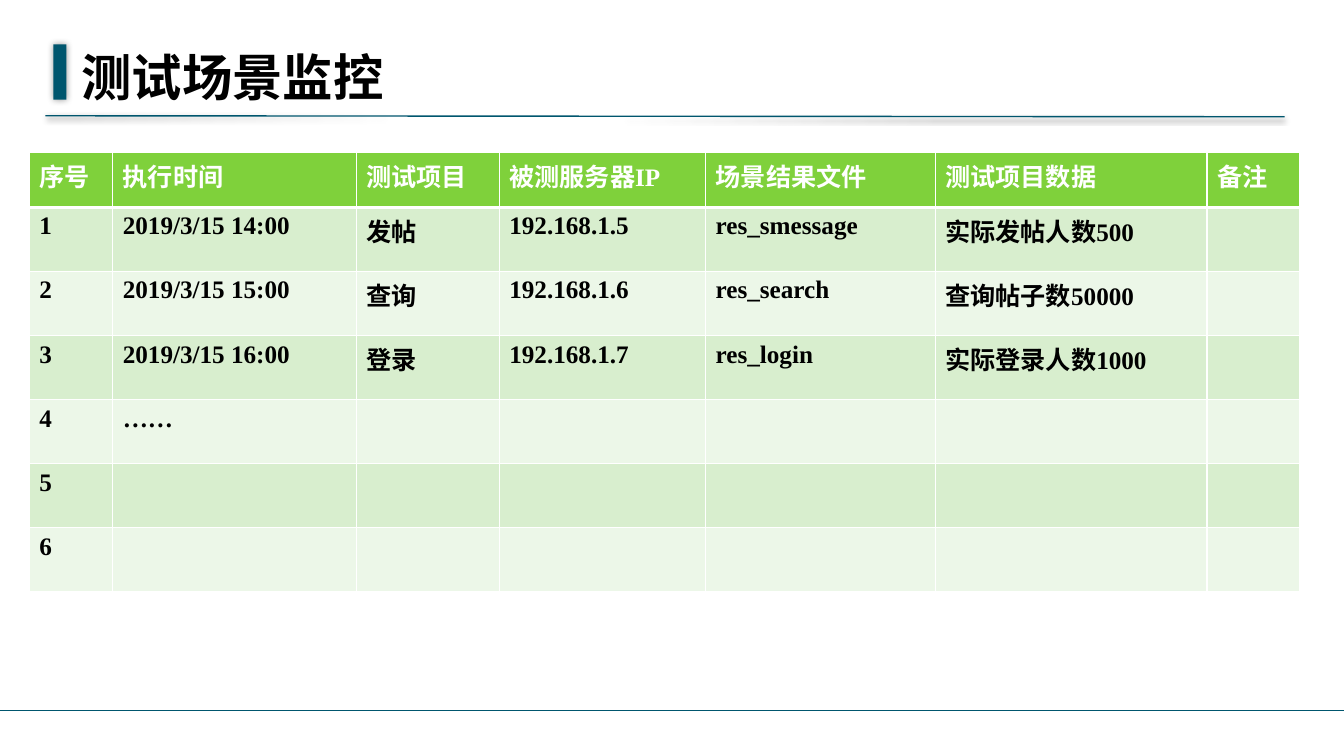
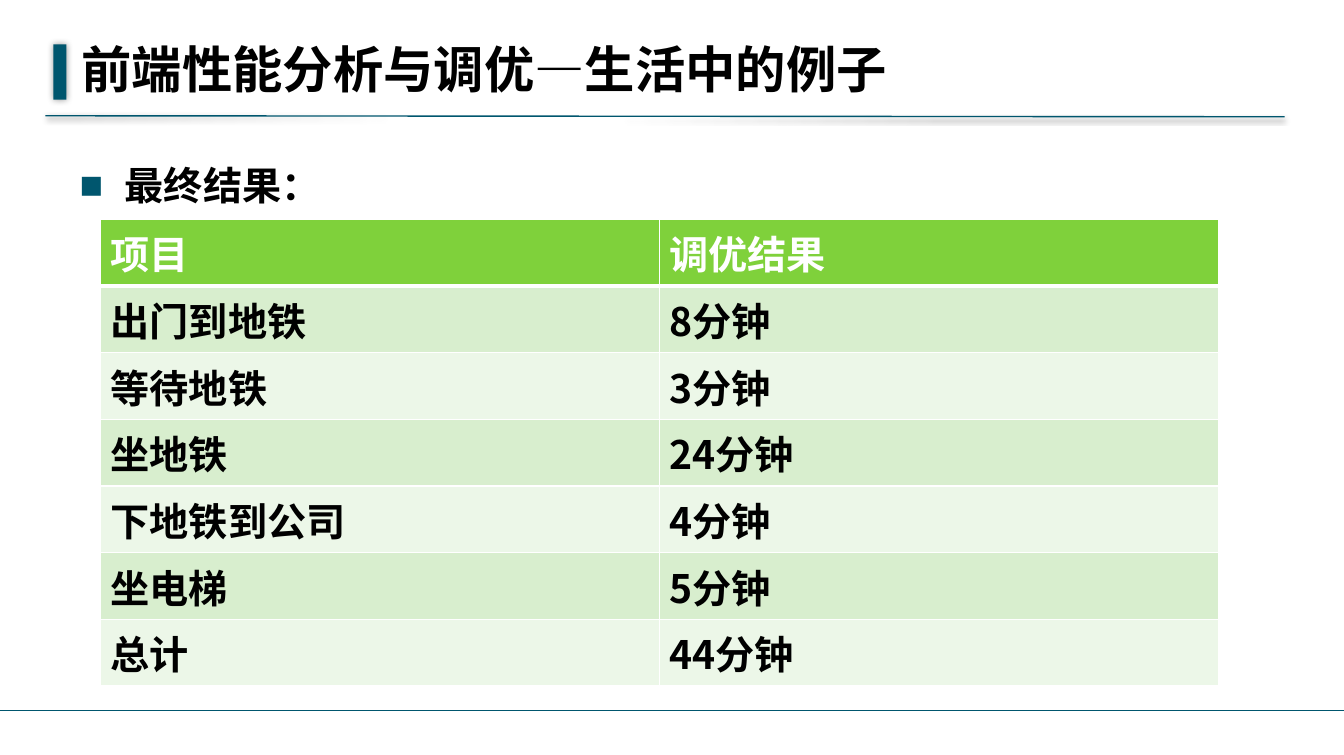
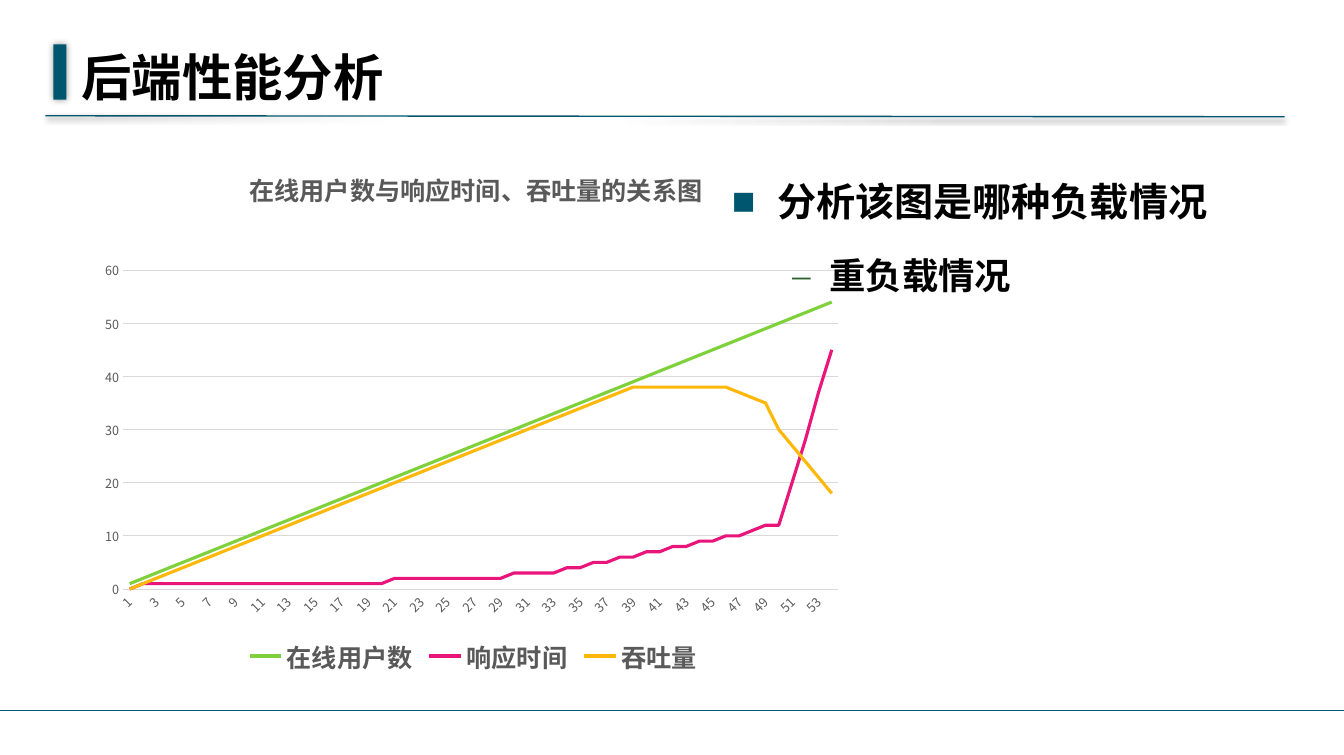
from dataclasses import dataclass

from lxml import etree
from pptx import Presentation
from pptx import util as u
from pptx.chart.data import CategoryChartData
from pptx.dml.color import RGBColor
from pptx.enum import chart as ch, shapes, text
from pptx.oxml import ns

PX = 9144


@dataclass(frozen=True)
class Theme:
    """Colours, fonts and type sizes of the deck."""
    teal: str = "00566E"
    moss: str = "2F6231"
    green: str = "7FD13B"
    pale: str = "D8EECE"
    mist: str = "ECF7E8"
    pink: str = "EA157A"
    amber: str = "FEB80A"
    grey: str = "595959"
    rule: str = "D9D9D9"
    black: str = "000000"
    white: str = "FFFFFF"
    sans: str = "Noto Sans CJK SC"
    serif: str = "Times New Roman"
    title: int = 36
    body: int = 28
    sub: int = 26
    small: int = 18
    tick: int = 9


T = Theme()


def px(*vals):
    """Turn px lengths into EMU."""
    return [u.Emu(v * PX) for v in vals]


def rgb(code):
    """Return a colour object."""
    return RGBColor.from_string(code)


def node(parent, tag, **attrs):
    """Append an XML child with attributes."""
    kid = etree.SubElement(parent, ns.qn(tag))
    for key, val in attrs.items():
        kid.set(key, str(val))
    return kid


def style(font, size, color, face=T.sans, bold=True):
    """Set the look of a font."""
    font.size, font.bold, font.name = u.Pt(size), bold, face
    font.color.rgb = rgb(color)


def write(para, words, size, color, face=T.sans):
    """Add one styled run to a paragraph."""
    run = para.add_run()
    run.text = words
    style(run.font, size, color, face)
    node(run.font._element, "a:ea", typeface=T.sans)


def inset(frame):
    """Give a text frame the shared margins and wrapping."""
    frame.word_wrap, frame.auto_size = True, text.MSO_AUTO_SIZE.NONE
    frame.margin_left = frame.margin_right = u.Emu(12 * PX)
    frame.margin_top = frame.margin_bottom = u.Emu(6 * PX)


def shade(shape, blur=0, dist=0, alpha=0):
    """Give a shape a soft black shadow, or none."""
    props = shape._element.spPr
    for old in props.findall(ns.qn("a:effectLst")):
        props.remove(old)
    fx = node(props, "a:effectLst")
    if blur:
        cast = node(fx, "a:outerShdw", blurRad=u.Pt(blur), dist=u.Pt(dist),
                    dir=5400000, algn="ctr", rotWithShape=0)
        tone = node(cast, "a:srgbClr", val=T.black)
        node(tone, "a:alpha", val=alpha * 1000)


def stroke(slide, left, right, top, drop=0):
    """Draw a thin teal line that may sink to its right end."""
    line = slide.shapes.add_connector(
        shapes.MSO_CONNECTOR.STRAIGHT, *px(left, top, right, top + drop))
    line.line.color.rgb, line.line.width = rgb(T.teal), u.Pt(1)
    shade(line)
    return line


def brand(slide, layout):
    """Draw the shared bar and rules and move them to the layout."""
    head = stroke(slide, 45, 1276, 115, 1)
    feet = [stroke(slide, left, left + 487, 706) for left in (848, -2, 382)]
    bar = slide.shapes.add_shape(
        shapes.MSO_SHAPE.RECTANGLE, *px(53, 44, 13, 55))
    bar.fill.solid()
    bar.fill.fore_color.rgb = rgb(T.teal)
    bar.line.fill.background()
    shade(head, 4, 1.6, 42)
    shade(bar, 5, 0, 40)
    for pos, part in enumerate((head, bar, *feet)):
        part._element.xpath(".//p:cNvPr")[0].set("id", str(20 + pos))
        layout.shapes._spTree.insert(2 + pos, part._element)


def headline(slide, words, top=44):
    """Place and fill the slide title."""
    box = slide.shapes.title
    box.left, box.top, box.width, box.height = px(69, top, 905, 63)
    frame = box.text_frame
    inset(frame)
    frame.vertical_anchor = text.MSO_ANCHOR.MIDDLE
    para = frame.paragraphs[0]
    para.alignment = text.PP_ALIGN.LEFT
    write(para, words, T.title, T.black)


def points(slide, box, items):
    """Write bullets given as level and words."""
    looks = (("■", T.teal, 45, -45, T.body), ("–", T.moss, 97, -37, T.sub))
    frame = slide.shapes.add_textbox(*px(*box)).text_frame
    inset(frame)
    for pos, (level, words) in enumerate(items):
        mark, tint, left, hang, size = looks[level]
        para = frame.add_paragraph() if pos else frame.paragraphs[0]
        props = para._p.get_or_add_pPr()
        props.set("marL", str(left * PX))
        props.set("indent", str(hang * PX))
        node(node(props, "a:buClr"), "a:srgbClr", val=tint)
        node(props, "a:buFont", typeface=T.serif)
        node(props, "a:buChar", char=mark)
        para.level, para.line_spacing = level, 1.5
        if pos:
            para.space_before = u.Pt(5)
        write(para, words, size, T.black, T.serif)


def edge(cell, head):
    """Draw white cell borders, heavy below the header."""
    props = cell._tc.get_or_add_tcPr()
    for pos, side in enumerate(("L", "R", "T", "B")):
        width = 3 if head and side == "B" else 1
        line = etree.Element(ns.qn(f"a:ln{side}"), w=str(u.Pt(width)))
        node(node(line, "a:solidFill"), "a:srgbClr", val=T.white)
        props.insert(pos, line)


def grid(slide, at, cols, high, head, rows, size, face):
    """Build a banded table whose body rows share the height left."""
    table = slide.shapes.add_table(
        len(rows), len(cols), *px(*at, sum(cols), high)).table
    for col, wide in zip(table.columns, cols):
        col.width = u.Emu(wide * PX)
    each = (high - head) * PX // (len(rows) - 1)
    for r, row in enumerate(rows):
        table.rows[r].height = u.Emu(each if r else head * PX)
        for c in range(len(cols)):
            cell = table.cell(r, c)
            cell.fill.solid()
            fill = (T.pale if r % 2 else T.mist) if r else T.green
            cell.fill.fore_color.rgb = rgb(fill)
            edge(cell, r == 0)
            para = cell.text_frame.paragraphs[0]
            if c < len(row):
                write(para, row[c], size, T.black if r else T.white, face)
            else:
                para.font.size = u.Pt(size)


def place(owner, **spots):
    """Pin a chart part to fractions of the chart."""
    layout = owner.get_or_add_layout() if hasattr(
        owner, "get_or_add_layout") else owner.find(ns.qn("c:layout"))
    if layout is None:
        layout = etree.Element(ns.qn("c:layout"))
        owner.insert(0, layout)
    for old in list(layout):
        layout.remove(old)
    hold = node(layout, "c:manualLayout")
    if "w" in spots:
        node(hold, "c:layoutTarget", val="inner")
    for key in ("x", "y"):
        node(hold, f"c:{key}Mode", val="edge")
    for key, val in spots.items():
        node(hold, f"c:{key}", val=val)


def axes(chart):
    """Format both axes of the line chart."""
    cat, val = chart.category_axis, chart.value_axis
    for axis in (cat, val):
        style(axis.tick_labels.font, T.tick, T.grey, bold=False)
        axis.major_tick_mark = axis.minor_tick_mark = ch.XL_TICK_MARK.NONE
    cat.format.line.color.rgb = rgb(T.rule)
    cat.format.line.width = u.Pt(0.75)
    val.format.line.fill.background()
    val.minimum_scale, val.maximum_scale, val.major_unit = 0, 60, 10
    lines = val.major_gridlines.format.line
    lines.color.rgb, lines.width = rgb(T.rule), u.Pt(0.75)
    root = cat._element
    root.find(f"{ns.qn('c:txPr')}/{ns.qn('a:bodyPr')}").set("rot", "-2700000")
    skip = etree.Element(ns.qn("c:tickLblSkip"), val="2")
    root.find(ns.qn("c:noMultiLvlLbl")).addprevious(skip)


def graph(slide, box, name, series):
    """Build the line chart from name, values and colour."""
    data = CategoryChartData()
    data.categories = [str(n) for n in range(1, len(series[0][1]) + 1)]
    for label, vals, _ in series:
        data.add_series(label, vals)
    chart = slide.shapes.add_chart(
        ch.XL_CHART_TYPE.LINE, *px(*box), data).chart
    style(chart.font, 10, T.black, bold=False)
    write(chart.chart_title.text_frame.paragraphs[0], name, T.small, T.grey)
    chart.chart_title.include_in_layout = False
    chart.has_legend = True
    chart.legend.position = ch.XL_LEGEND_POSITION.BOTTOM
    chart.legend.include_in_layout = False
    style(chart.legend.font, T.small, T.grey)
    plot = chart.plots[0]
    plot.vary_by_categories = False
    for line, (_, _, tint) in zip(plot.series, series):
        line.smooth = False
        line.marker.style = ch.XL_MARKER_STYLE.NONE
        line.format.line.color.rgb = rgb(tint)
        line.format.line.width = u.Pt(2.25)
    axes(chart)
    place(chart.chart_title._element, x=0.2, y=0.03)
    place(chart._chartSpace.chart.plotArea, x=0.04, y=0.23, w=0.94, h=0.6)


def watch(slide):
    """Fill the test monitoring slide."""
    headline(slide, "测试场景监控")
    rows = [
        ("序号", "执行时间", "测试项目", "被测服务器IP", "场景结果文件",
         "测试项目数据", "备注"),
        ("1", "2019/3/15 14:00", "发帖", "192.168.1.5", "res_smessage",
         "实际发帖人数500"),
        ("2", "2019/3/15 15:00", "查询", "192.168.1.6", "res_search",
         "查询帖子数50000"),
        ("3", "2019/3/15 16:00", "登录", "192.168.1.7", "res_login",
         "实际登录人数1000"),
        ("4", "……"), ("5",), ("6",)]
    grid(slide, (29, 151), (83, 242, 142, 205, 228, 270, 92),
         437, 55, rows, T.small, T.serif)


def tuning(slide):
    """Fill the everyday tuning example slide."""
    headline(slide, "前端性能分析与调优—生活中的例子", 36)
    rows = [("项目", "调优结果"), ("出门到地铁", "8分钟"),
            ("等待地铁", "3分钟"), ("坐地铁", "24分钟"),
            ("下地铁到公司", "4分钟"), ("坐电梯", "5分钟"),
            ("总计", "44分钟")]
    grid(slide, (100, 218), (555, 555), 397, 57, rows, T.body, T.sans)
    points(slide, (67, 131, 1201, 551), [(0, "最终结果：")])


def load(slide):
    """Fill the back-end load analysis slide."""
    headline(slide, "后端性能分析")
    climb = [round(3 + 9 * n / 17) for n in range(16)]
    delay = ([0] + [1] * 19 + [2] * 9 + [3] * 3 + climb
             + [12, 12, 20, 28, 37, 45])
    flow = [*range(38), *[38] * 8, 37, 36, 35, 30, 27, 24, 21, 18]
    graph(slide, (92, 147, 756, 528), "在线用户数与响应时间、吞吐量的关系图",
          [("在线用户数", range(1, 55), T.green),
           ("响应时间", delay, T.pink), ("吞吐量", flow, T.amber)])
    points(slide, (715, 147, 620, 551),
           [(0, "分析该图是哪种负载情况"), (1, "重负载情况")])


def main():
    """Build and save the deck."""
    deck = Presentation()
    deck.slide_width, deck.slide_height = px(1335, 750)
    layout = deck.slide_layouts[5]
    for pos, fill in enumerate((watch, tuning, load)):
        slide = deck.slides.add_slide(layout)
        if pos == 0:
            brand(slide, layout)
        fill(slide)
    deck.save("out.pptx")


if __name__ == "__main__":
    main()
